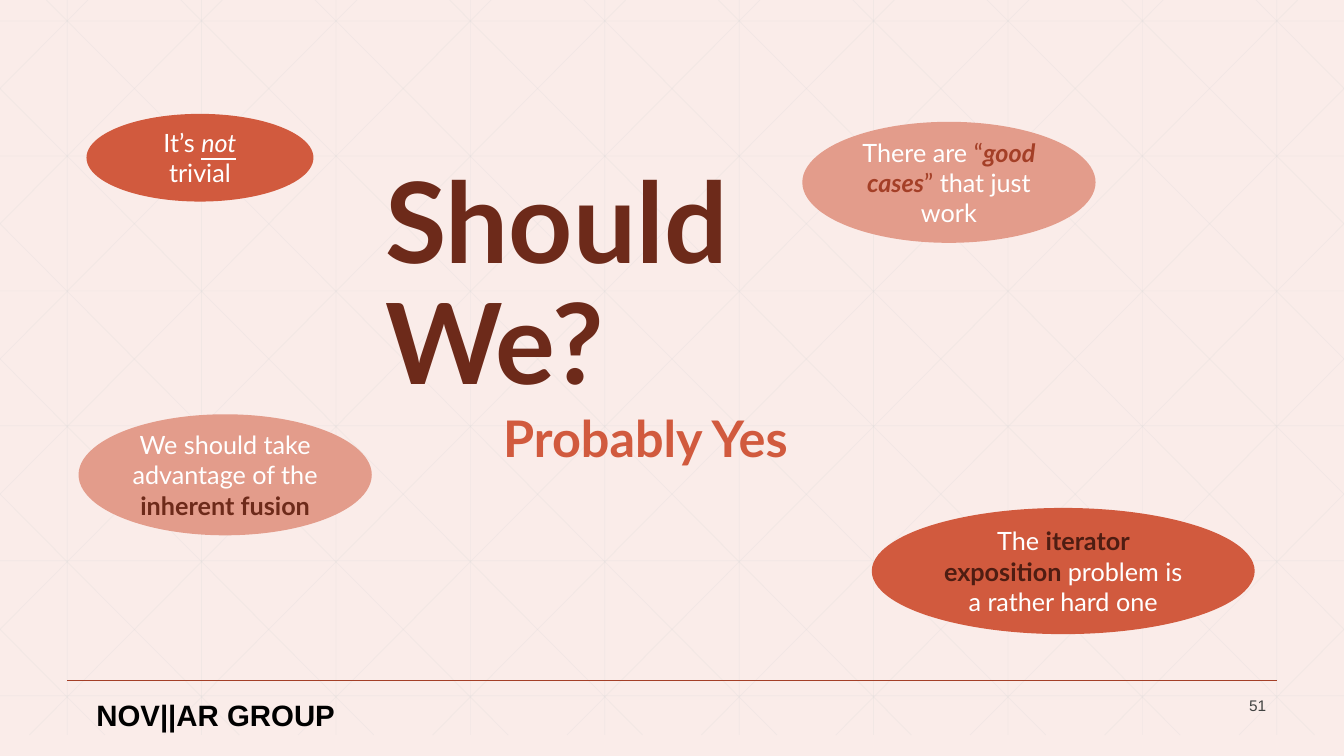
"""Build the "Should We?" slide: a verdict surrounded by four arguments."""
import lxml.etree
import pptx
import pptx.dml.color
import pptx.enum.shapes
import pptx.enum.text
import pptx.oxml.ns
import pptx.util
from pptx.util import Cm

COLORS = {
    "background": "FAECE9", "grid": "D9D9D9", "rule": "A43F27",
    "title": "6D2A1A", "strong": "D15A3E", "soft": "E39C8B",
    "dark": "4E1D12", "white": "FFFFFF", "number": "424342", "black": "000000",
}
ALIGN = pptx.enum.text.PP_ALIGN
ANCHOR = pptx.enum.text.MSO_ANCHOR
WIDTH, HEIGHT = 33.87, 19.05


def rgb(name):
    return pptx.dml.color.RGBColor.from_string(COLORS[name])


def write(frame, *runs, size=18, font="Lato", color="white", bold=False,
          align=ALIGN.LEFT, anchor=ANCHOR.MIDDLE, spacing=None):
    """Fill a text frame with (text, overrides) runs."""
    frame.word_wrap = True
    frame.auto_size = pptx.enum.text.MSO_AUTO_SIZE.NONE
    frame.vertical_anchor = anchor
    paragraph = frame.paragraphs[0]
    paragraph.alignment = align
    paragraph.line_spacing = spacing
    for text, override in runs:
        run = paragraph.add_run()
        run.text = text
        run.font.name = font
        run.font.size = pptx.util.Pt(size)
        run.font.color.rgb = rgb(override.get("color", color))
        run.font.bold = override.get("bold", bold)
        run.font.italic = override.get("italic", False)
        run.font.underline = override.get("underline", False)


deck = pptx.Presentation()
deck.slide_width, deck.slide_height = Cm(WIDTH), Cm(HEIGHT)
slide = deck.slides.add_slide(deck.slide_layouts[5])
slide.background.fill.solid()
slide.background.fill.fore_color.rgb = rgb("background")

step = WIDTH / 10
grid_bottom = 18.52
slope = 1.006
grid = [((i + 0.5) * step, 0, (i + 0.5) * step, grid_bottom) for i in range(10)]
grid += [(0, 0.53 + 3.4 * i, WIDTH, 0.53 + 3.4 * i) for i in range(6)]
for i in range(-5, 10):
    top_x = 1.17 + step * i
    left, right = max(top_x, 0), min(top_x + grid_bottom / slope, WIDTH)
    start_y, end_y = (left - top_x) * slope, (right - top_x) * slope
    grid.append((left, start_y, right, end_y))
    grid.append((WIDTH - left, start_y, WIDTH - right, end_y))

rules = [(ends, "grid", 0.5) for ends in grid]
rules.append(((1.7, 17.15, 32.18, 17.15), "rule", 1))
for ends, color, weight in rules:
    rule = slide.shapes.add_connector(
        pptx.enum.shapes.MSO_CONNECTOR.STRAIGHT, *[Cm(end) for end in ends])
    rule.line.color.rgb = rgb(color)
    rule.line.width = pptx.util.Pt(weight)
    properties = rule.element.spPr
    lxml.etree.SubElement(properties, pptx.oxml.ns.qn("a:effectLst"))
    if color == "grid":
        stroke = properties.find(".//" + pptx.oxml.ns.qn("a:srgbClr"))
        lxml.etree.SubElement(stroke, pptx.oxml.ns.qn("a:alpha"), val="25000")

title = slide.shapes.title
title.element.getparent().append(title.element)
title.left, title.top, title.width, title.height = Cm(9.45), Cm(6.25), Cm(14.96), Cm(4.17)
write(title.text_frame, ("Should We?", {}), size=80, color="title", bold=True,
      anchor=ANCHOR.BOTTOM, spacing=0.9)

labels = [
    ((29.62, 17.48, 2.54, 0.61), "51",
     dict(size=11, font="Arial", color="number", align=ALIGN.RIGHT)),
    ((2.18, 17.45, 6.6, 1.14), "NOV||AR GROUP",
     dict(size=21, font="Arial", color="black", bold=True, anchor=ANCHOR.TOP)),
    ((10.57, 9.37, 11.4, 2.57), "Probably Yes",
     dict(size=36, color="strong", bold=True, align=ALIGN.CENTER,
          anchor=ANCHOR.BOTTOM, spacing=0.9)),
]
for place, text, style in labels:
    label = slide.shapes.add_textbox(*[Cm(length) for length in place])
    write(label.text_frame, (text, {}), **style)

arguments = [
    ((2.18, 2.87, 5.72, 2.21), "strong",
     [("It’s ", {}), ("not", dict(italic=True, underline=True)), (" trivial", {})]),
    ((20.22, 3.07, 7.39, 3.05), "soft",
     [("There are ", {}), ("“", dict(color="rule")),
      ("good cases", dict(color="rule", bold=True, italic=True)),
      ("”", dict(color="rule")), (" that just work", {})]),
    ((21.97, 12.8, 9.65, 3.18), "strong",
     [("The ", {}), ("iterator exposition ", dict(color="dark", bold=True)),
      ("problem is a rather hard one", {})]),
    ((1.98, 10.44, 7.39, 3.05), "soft",
     [("We should take advantage of the ", {}),
      ("inherent fusion", dict(color="title", bold=True))]),
]
for place, color, runs in arguments:
    bubble = slide.shapes.add_shape(
        pptx.enum.shapes.MSO_SHAPE.OVAL, *[Cm(length) for length in place])
    bubble.shadow.inherit = False
    bubble.fill.solid()
    bubble.fill.fore_color.rgb = rgb(color)
    bubble.line.fill.background()
    write(bubble.text_frame, *runs, align=ALIGN.CENTER)

deck.save("out.pptx")
